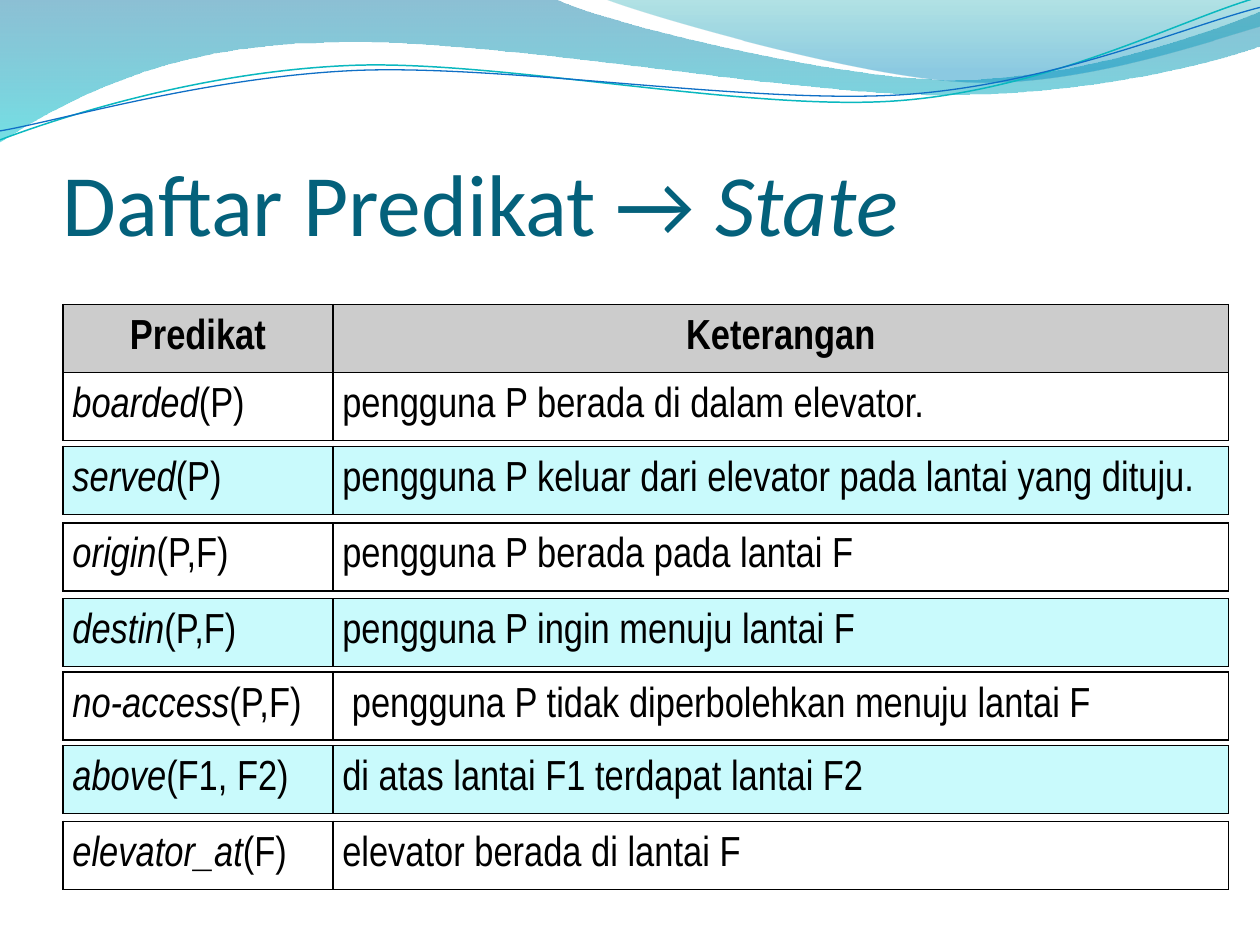
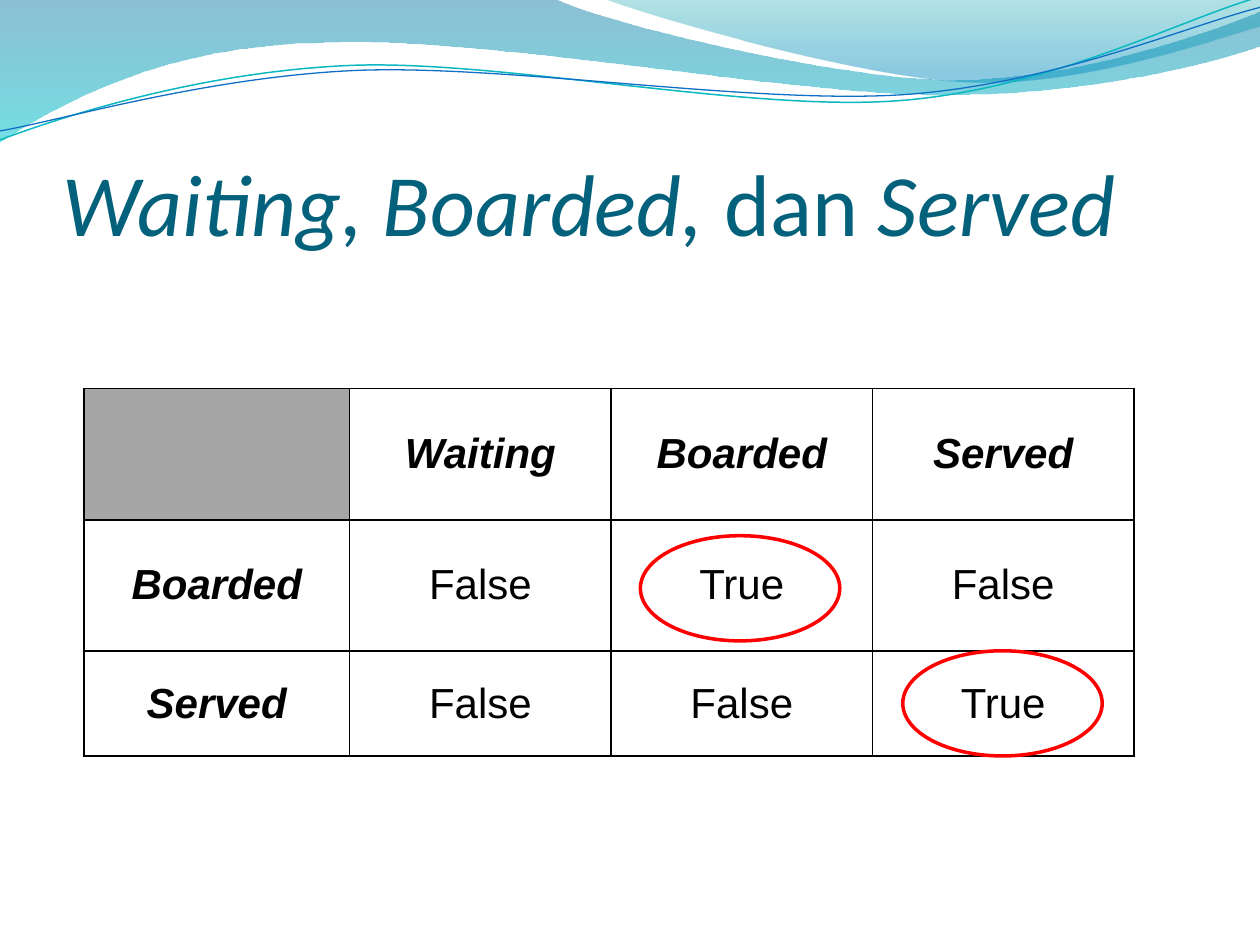
from math import cos, radians, sin

from lxml.etree import SubElement as SubElem
from pptx import Presentation
from pptx.dml.color import RGBColor as RGB
from pptx.enum.shapes import MSO_SHAPE as Shape
from pptx.enum.text import MSO_ANCHOR as Anchor, PP_ALIGN as Align
from pptx.oxml.ns import qn
from pptx.util import Cm, Pt

BLACK = RGB(0x00, 0x00, 0x00)
RED = RGB(0xFF, 0x00, 0x00)
TITLE = RGB(0x04, 0x61, 0x7B)
HEAD = RGB(0xCC, 0xCC, 0xCC)
TINT = RGB(0xC9, 0xFA, 0xFC)
GREY = RGB(0xA6, 0xA6, 0xA6)
TEAL = RGB(0x0A, 0xB8, 0xBF)
BLUE = RGB(0x0F, 0x6F, 0xC6)
TILT = -2.7  # degrees, for both thin lines

# Outlines in cm: a pair is a straight step, a six is a Bézier curve.
# Gradient stops: position, colour, opacity in percent.
WAVES = [
    ([(0, -0.03), (11.18, -0.03),
      (12.09, 0.43, 16.87, 1.6, 19.25, 1.6),
      (21.67, 1.6, 24.33, 0.66, 25.4, 0.23), (25.43, 0.91),
      (24.97, 1.12, 22.1, 1.93, 18.95, 1.91),
      (15.8, 1.91, 9.7, 0.71, 6.53, 0.86),
      (3.28, 0.89, 1.17, 2.11, -0.03, 2.87), (0, -0.03)],
     [(0, RGB(0x00, 0x74, 0xA1), 45), (1, RGB(0x00, 0xC6, 0xCF), 55)]),
    ([(12.17, -0.03),
      (12.93, 0.28, 17.32, 1.57, 19.53, 1.65),
      (21.74, 1.75, 24.41, 0.81, 25.4, 0.53), (25.4, 0), (12.17, -0.03)],
     [(0, RGB(0x00, 0xA1, 0xA9), 30), (0.8, RGB(0x00, 0x8B, 0xBF), 45)]),
]
# Outline, centre of the tilt, colour, width in points
LINES = [
    ([(0, 2.82),
      (1.22, 2.36, 4.01, 1.45, 7.04, 1.32),
      (10.03, 1.19, 15.06, 2.26, 18.11, 2.03),
      (21.16, 1.8, 23.83, 0.38, 25.35, -0.05)], (12.67, 1.46), TEAL, 0.85),
    ([(0, 2.64),
      (1.19, 2.44, 4.17, 1.55, 7.19, 1.42),
      (10.24, 1.3, 15.16, 2.11, 18.21, 1.91),
      (21.23, 1.7, 23.9, 0.53, 25.4, 0.15)], (12.69, 1.5), BLUE, 0.75),
]

# Top of each table in cm, predicate, arguments, meaning
FACTS = [
    (9, "served", "(P)",
     "pengguna P keluar dari elevator pada lantai yang dituju."),
    (10.54, "origin", "(P,F)", "pengguna P berada pada lantai F"),
    (12.07, "destin", "(P,F)", "pengguna P ingin menuju lantai F"),
    (13.55, "no-access", "(P,F)",
     " pengguna P tidak diperbolehkan menuju lantai F"),
    (15.03, "above", "(F1, F2)", "di atas lantai F1 terdapat lantai F2"),
    (16.56, "elevator_at", "(F)", "elevator berada di lantai F"),
]
STATES = ["Waiting", "Boarded", "Served"]


def turn(step, mid, angle):
    """Rotate every point of a step about mid, clockwise in degrees."""
    c, s = cos(radians(angle)), sin(radians(angle))
    out = []
    for x, y in zip(step[::2], step[1::2]):
        dx, dy = x - mid[0], y - mid[1]
        out += [mid[0] + dx * c - dy * s, mid[1] + dx * s + dy * c]
    return out


def add_path(slide, steps, close):
    """Add an outline, each six of its steps as one Bézier curve."""
    pts = [(Cm(x), Cm(y)) for step in steps
           for x, y in zip(step[::2], step[1::2])]
    pen = slide.shapes.build_freeform(*pts[0])
    pen.add_line_segments(pts[1:], close=close)
    form = pen.convert_to_shape()
    form.shadow.inherit = False
    outline = next(form._element.iter(qn("a:path")))
    nodes = iter(outline.findall(qn("a:lnTo")))
    for step in steps[1:]:
        node = next(nodes)
        if len(step) == 6:
            curve = SubElem(outline, qn("a:cubicBezTo"))
            node.addprevious(curve)
            for part in (node, next(nodes), next(nodes)):
                curve.append(part[0])
                outline.remove(part)
    return form


def add_wave(slide, steps, stops):
    wave = add_path(slide, steps, True)
    wave.line.fill.background()
    wave.fill.gradient()
    wave.fill.gradient_angle = 270
    for stop, (pos, color, _) in zip(wave.fill.gradient_stops, stops):
        stop.position = pos
        stop.color.rgb = color
    tints = wave._element.spPr.iter(qn("a:srgbClr"))
    for tint, (_, _, alpha) in zip(tints, stops):
        SubElem(tint, qn("a:alpha"), val=str(alpha * 1000))


def add_line(slide, steps, mid, color, width):
    flat = [turn(step, mid, -TILT) for step in steps]
    line = add_path(slide, flat, False)
    line.rotation = TILT
    line.fill.background()
    line.line.color.rgb = color
    line.line.width = Pt(width)


def add_runs(par, runs, font, size, color):
    """Add (text, style) runs; a style holds b for bold, i for italic."""
    for text, style in runs:
        run = par.add_run()
        run.text = text
        run.font.name = font
        run.font.size = Pt(size)
        run.font.color.rgb = color
        run.font.bold = "b" in style
        run.font.italic = "i" in style


def add_title(slide, runs):
    box = slide.shapes.add_textbox(Cm(1.27), Cm(1.96), Cm(23.06), Cm(3.17))
    frame = box.text_frame
    frame.word_wrap = True
    frame.vertical_anchor = Anchor.BOTTOM
    frame.margin_left = frame.margin_right = frame.margin_bottom = 0
    frame.margin_top = Cm(0.13)
    add_runs(frame.paragraphs[0], runs, "Calibri", 50, TITLE)


def add_borders(cell):
    props = cell._tc.get_or_add_tcPr()
    for side in ("lnL", "lnR", "lnT", "lnB"):
        edge = SubElem(props, qn(f"a:{side}"), w=str(Pt(1)))
        fill = SubElem(edge, qn("a:solidFill"))
        SubElem(fill, qn("a:srgbClr"), val=str(BLACK))


def fill_cell(cell, runs, align, color, font):
    add_borders(cell)
    if color is None:
        cell.fill.background()
    else:
        cell.fill.solid()
        cell.fill.fore_color.rgb = color
    cell.vertical_anchor = Anchor.MIDDLE
    cell.margin_left = cell.margin_right = Cm(0.19)
    cell.margin_top = cell.margin_bottom = 0
    par = cell.text_frame.paragraphs[0]
    par.alignment = align
    add_runs(par, runs, font, 24, BLACK)


def add_grid(slide, left, top, cols, rows, cells, font):
    """Add a table; each cell is (runs, alignment, fill)."""
    grid = slide.shapes.add_table(
        len(rows), len(cols), Cm(left), Cm(top),
        Cm(sum(cols)), Cm(sum(rows))).table
    grid.first_row = grid.horz_banding = False
    for col, width in zip(grid.columns, cols):
        col.width = Cm(width)
    for row, height, line in zip(grid.rows, rows, cells):
        row.height = Cm(height)
        for cell, (runs, align, color) in zip(row.cells, line):
            fill_cell(cell, runs, align, color, font)


def add_facts(slide, top, cells):
    add_grid(slide, 1.27, top, [5.44, 18.06], [1.37] * len(cells), cells,
             "Arial Narrow")


def fact_row(name, args, note, color=None):
    return [([(name, "i"), (args, "")], Align.JUSTIFY, color),
            ([(note, "")], Align.JUSTIFY, color)]


def add_ring(slide, left, top):
    ring = slide.shapes.add_shape(
        Shape.OVAL, Cm(left), Cm(top), Cm(4.02), Cm(2.12))
    ring.shadow.inherit = False
    ring.fill.background()
    ring.line.color.rgb = RED
    ring.line.width = Pt(2)


def add_slide(deck, title):
    slide = deck.slides.add_slide(deck.slide_layouts[6])
    for wave in WAVES:
        add_wave(slide, *wave)
    for line in LINES:
        add_line(slide, *line)
    add_title(slide, title)
    return slide


def show_facts(deck):
    slide = add_slide(deck, [("Daftar Predikat → ", ""), ("State", "i")])
    head = [([(text, "b")], Align.CENTER, HEAD)
            for text in ("Predikat", "Keterangan")]
    add_facts(slide, 6.14, [head, fact_row(
        "boarded", "(P)", "pengguna P berada di dalam elevator.")])
    for n, (top, *fact) in enumerate(FACTS):
        color = TINT if n % 2 == 0 else None
        add_facts(slide, top, [fact_row(*fact, color)])


def show_states(deck):
    slide = add_slide(deck, [("Waiting, Boarded, ", "i"), ("dan ", ""),
                             ("Served", "i")])
    cells = [[([], Align.CENTER, GREY)]
             + [([(name, "bi")], Align.CENTER, None) for name in STATES]]
    for name in STATES[1:]:
        cells.append(
            [([(name, "bi")], Align.CENTER, None)]
            + [([(str(state == name), "")], Align.CENTER, None)
               for state in STATES])
    add_grid(slide, 1.69, 7.83, [5.36] + [5.27] * 3, [2.65, 2.64, 2.12],
             cells, "Arial")
    add_ring(slide, 12.91, 10.8)
    add_ring(slide, 18.2, 13.12)


def main():
    deck = Presentation()
    deck.slide_width, deck.slide_height = Cm(25.4), Cm(19.05)
    show_facts(deck)
    show_states(deck)
    deck.save("out.pptx")


if __name__ == "__main__":
    main()
